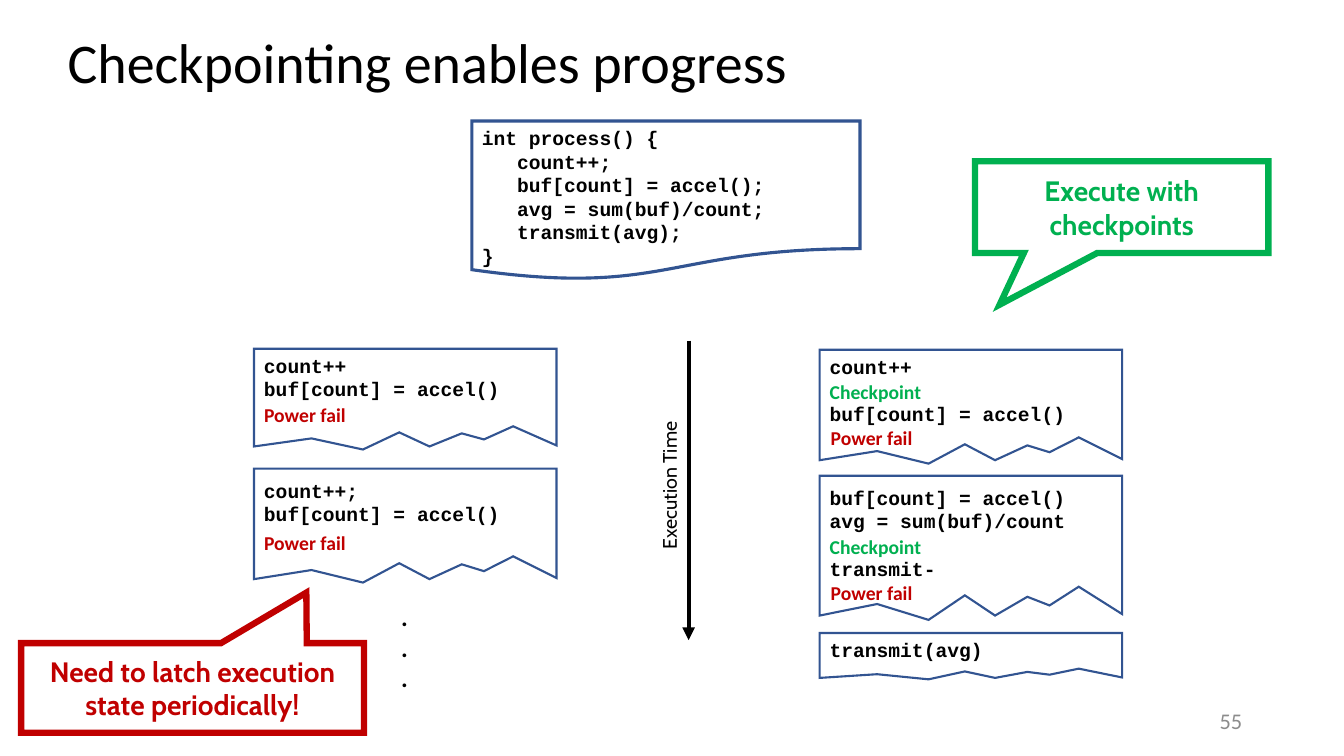
from lxml import etree
from pptx import Presentation
from pptx.dml.color import RGBColor
from pptx.enum.shapes import MSO_CONNECTOR, MSO_SHAPE
from pptx.enum.text import MSO_ANCHOR, MSO_AUTO_SIZE, PP_ALIGN
from pptx.oxml.ns import qn
from pptx.util import Inches, Pt

BLACK = RGBColor(0x00, 0x00, 0x00)
WHITE = RGBColor(0xFF, 0xFF, 0xFF)
BLUE = RGBColor(0x32, 0x54, 0x91)
RED = RGBColor(0xC0, 0x00, 0x00)
GREEN = RGBColor(0x00, 0xB0, 0x50)
GRAY = RGBColor(0x8C, 0x8C, 0x8C)
CODE, BODY, ACCENT = "Courier New", "Calibri", "Cabin"

# Content
TITLE = "Checkpointing enables progress"
PROGRAM = """int process() {
   count++;
   buf[count] = accel();
   avg = sum(buf)/count;
   transmit(avg);
}"""
FAIL, CHECKPOINT = ("Power fail", RED), ("Checkpoint", GREEN)
LEFT_RUN, RIGHT_RUN = 2.52, 8.13
# left, top, height, top inset, code, line that follows a checkpoint
FRAGMENTS = [
    (LEFT_RUN, 3.46, 1.0, 0.05, "count++\nbuf[count] = accel()", None),
    (LEFT_RUN, 4.65, 1.13, 0.1, "count++;\nbuf[count] = accel()", None),
    (RIGHT_RUN, 3.47, 1.13, 0.05, "count++\nbuf[count] = accel()", 1),
    (RIGHT_RUN, 4.72, 1.43, 0.1,
     "buf[count] = accel()\navg = sum(buf)/count\ntransmit-", 2),
    (RIGHT_RUN, 6.28, 0.46, 0.05, "transmit(avg)", None),
]
EVENTS = [
    (LEFT_RUN, 3.95, FAIL), (LEFT_RUN, 5.22, FAIL),
    (RIGHT_RUN, 3.72, CHECKPOINT), (RIGHT_RUN + 0.01, 4.18, FAIL),
    (RIGHT_RUN, 5.26, CHECKPOINT), (RIGHT_RUN + 0.01, 5.71, FAIL),
]
# left, top, width, height, pointer, colour, text
CALLOUTS = [
    (0.21, 6.38, 3.4, 0.89, (0.332, -1.063), RED,
     "Need to latch execution state periodically!"),
    (9.67, 1.6, 2.91, 0.91, (-0.416, 1.064), GREEN, "Execute with checkpoints"),
]
# Torn edge from right to left: inches across, share of the height
FRAGMENT_WIDTH = 3
TEAR = [(3, 0.96), (2.57, 0.77), (2.28, 0.9), (2.06, 0.84), (1.74, 0.97),
        (1.44, 0.83), (1.08, 1), (0.57, 0.89), (0, 0.97)]

prs = Presentation()
prs.slide_width, prs.slide_height = Inches(13.33), Inches(7.5)
slide = prs.slides.add_slide(prs.slide_layouts[5])
shapes = slide.shapes


def write(shape, text, size, font, color, bold=False,
          align=PP_ALIGN.LEFT, anchor=MSO_ANCHOR.TOP):
    frame = shape.text_frame
    frame.text = text
    frame.word_wrap = True
    frame.auto_size = MSO_AUTO_SIZE.NONE
    frame.vertical_anchor = anchor
    for paragraph in frame.paragraphs:
        paragraph.alignment = align
        for run in paragraph.runs:
            run.font.size, run.font.name = Pt(size), font
            run.font.bold, run.font.color.rgb = bold, color


def outline(shape, color, width, fill=WHITE):
    shape.shadow.inherit = False
    if fill is None:
        shape.fill.background()
    else:
        shape.fill.solid()
        shape.fill.fore_color.rgb = fill
    shape.line.color.rgb = color
    shape.line.width = Pt(width)
    miter = etree.SubElement(shape._element.spPr.find(qn("a:ln")), qn("a:miter"))
    miter.set("lim", "800000")


def label(left, top, width, height, text, *style, **options):
    box = shapes.add_textbox(*map(Inches, (left, top, width, height)))
    write(box, text, *style, **options)
    return box


# Title
title = shapes.title
title.left, title.top, title.width, title.height = map(Inches, (0.57, 0.22, 11.91, 0.77))
write(title, TITLE, 40, BODY, BLACK)

# Time axis
axis = shapes.add_connector(MSO_CONNECTOR.STRAIGHT, Inches(6.83), Inches(3.38),
                            Inches(6.83), Inches(6.35))
axis.line.color.rgb = BLACK
axis.line.width = Pt(3)
axis_props = axis._element.spPr
etree.SubElement(axis_props.find(qn("a:ln")), qn("a:tailEnd")).set("type", "triangle")
etree.SubElement(axis_props, qn("a:effectLst"))
label(5.74, 4.48, 1.8, 0.34, "Execution Time", 14, ACCENT, BLACK).rotation = 270

# Program
program = shapes.add_shape(MSO_SHAPE.FLOWCHART_DOCUMENT,
                           *map(Inches, (4.68, 1.2, 3.85, 1.58)))
outline(program, BLUE, 2.25, fill=None)
write(program, PROGRAM, 14, CODE, BLACK, bold=True)

# Torn code fragments
for left, top, height, inset, code, resumed in FRAGMENTS:
    edge = [(Inches(left + x), Inches(top + share * height)) for x, share in TEAR]
    builder = shapes.build_freeform(Inches(left), Inches(top))
    builder.add_line_segments([(Inches(left + FRAGMENT_WIDTH), Inches(top))] + edge)
    fragment = builder.convert_to_shape()
    outline(fragment, BLUE, 1.5)
    write(fragment, code, 14, CODE, BLACK, bold=True)
    fragment.text_frame.margin_top = Inches(inset)
    if resumed is not None:
        fragment.text_frame.paragraphs[resumed].space_before = Pt(17)

# Events inside the fragments
for left, top, (event, color) in EVENTS:
    label(left, top, 1.51, 0.34, event, 14, BODY, color, bold=True)

# Continuation dots and page number
label(3.88, 5.92, 0.32, 1.01, ".\n.\n.", 18, BODY, BLACK, bold=True)
label(9.42, 6.95, 3, 0.4, "55", 16, BODY, GRAY,
      align=PP_ALIGN.RIGHT, anchor=MSO_ANCHOR.MIDDLE)

# Callouts
for left, top, width, height, pointer, color, message in CALLOUTS:
    callout = shapes.add_shape(MSO_SHAPE.RECTANGULAR_CALLOUT,
                               *map(Inches, (left, top, width, height)))
    callout.adjustments[0], callout.adjustments[1] = pointer
    outline(callout, color, 4.5)
    write(callout, message, 20, ACCENT, color, bold=True,
          align=PP_ALIGN.CENTER, anchor=MSO_ANCHOR.MIDDLE)

prs.save("out.pptx")
